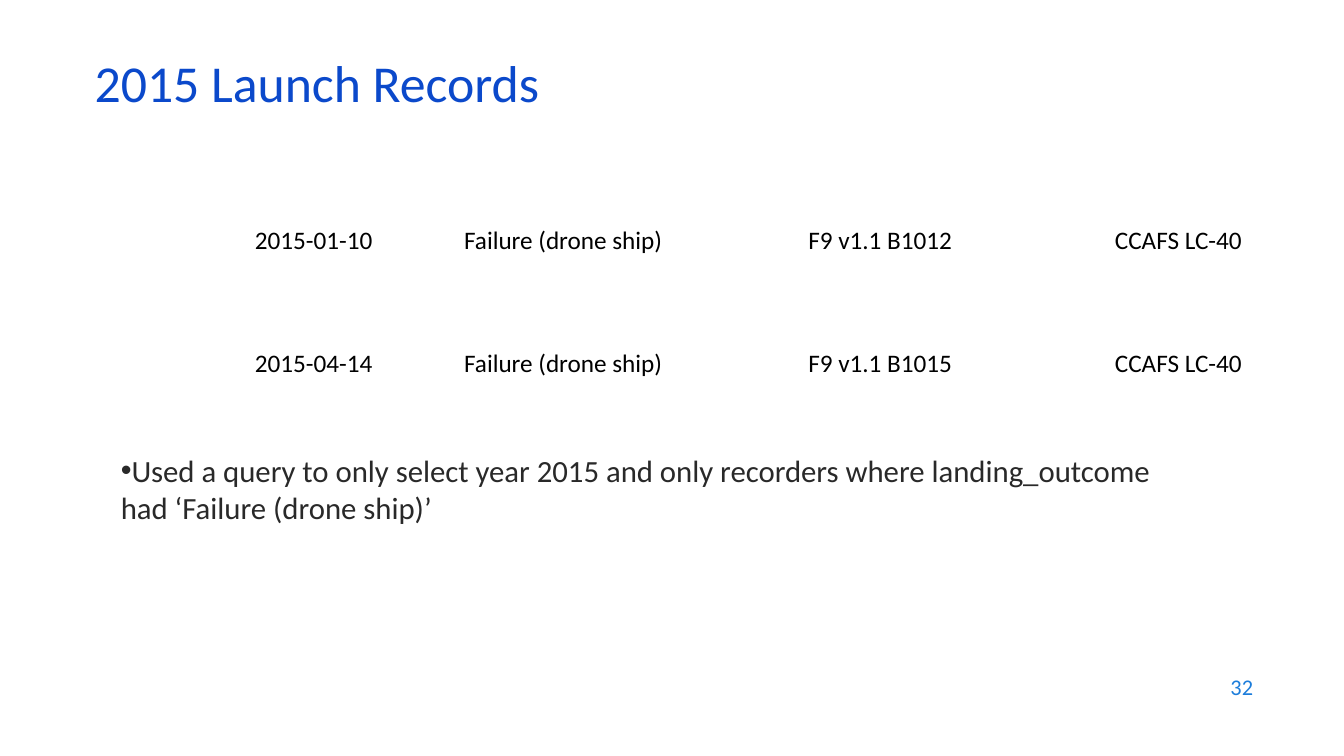
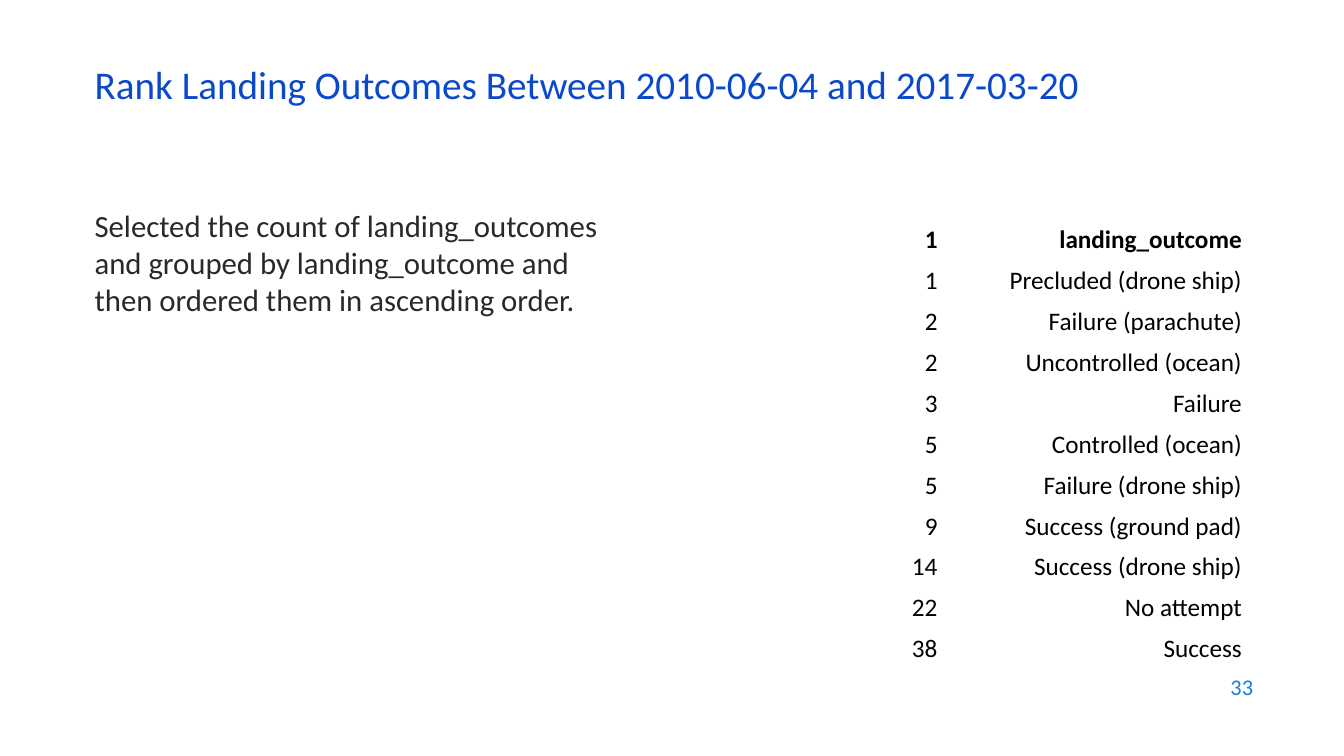
from dataclasses import dataclass

import pptx
import pptx.dml.color
import pptx.enum.text
import pptx.oxml.ns
import pptx.util
from lxml import etree

Cm = pptx.util.Cm
ALIGN = pptx.enum.text.PP_ALIGN
ANCHOR = pptx.enum.text.MSO_ANCHOR


@dataclass(frozen=True)
class Theme:
    font: str = "Calibri"
    title_color: str = "0B49CB"
    body_color: str = "292929"
    number_color: str = "1C7DDB"
    table_color: str = "000000"
    table_fill: str = "FFFFFF"
    title_size: int = 37
    long_title_size: int = 28
    body_size: int = 22
    table_size: int = 18
    number_size: int = 16


THEME = Theme()
FIRST_NUMBER = 32
ROW_HEIGHT = 1.03

LAUNCHES = [
    ("2015-01-10", "Failure (drone ship)", "F9 v1.1 B1012", "CCAFS LC-40"),
    ("",) * 4,
    ("",) * 4,
    ("2015-04-14", "Failure (drone ship)", "F9 v1.1 B1015", "CCAFS LC-40"),
]
OUTCOMES = [
    ("1", "landing_outcome"),
    ("1", "Precluded (drone ship)"),
    ("2", "Failure (parachute)"),
    ("2", "Uncontrolled (ocean)"),
    ("3", "Failure"),
    ("5", "Controlled (ocean)"),
    ("5", "Failure (drone ship)"),
    ("9", "Success (ground pad)"),
    ("14", "Success (drone ship)"),
    ("22", "No attempt"),
    ("38", "Success"),
]


# Text and placement
def write_text(frame, text, *, size, color, align=ALIGN.LEFT, bold=False, spacing=1.0):
    paragraph = frame.paragraphs[0]
    paragraph.alignment = align
    paragraph.line_spacing = spacing
    paragraph.space_before = pptx.util.Pt(0)
    run = paragraph.add_run()
    run.text = text
    run.font.name = THEME.font
    run.font.size = pptx.util.Pt(size)
    run.font.bold = bold
    run.font.color.rgb = pptx.dml.color.RGBColor.from_string(color)
    return paragraph


def place(shape, left, top, width, height):
    shape.left, shape.top = Cm(left), Cm(top)
    shape.width, shape.height = Cm(width), Cm(height)


def set_bullet(paragraph, character=None):
    properties = paragraph._p.get_or_add_pPr()
    properties.set("marL", "0")
    properties.set("indent", "0")
    tag = "a:buChar" if character else "a:buNone"
    bullet = etree.SubElement(properties, pptx.oxml.ns.qn(tag))
    if character:
        bullet.set("char", character)


# Slide elements
def add_slide(presentation, title, title_size):
    slide = presentation.slides.add_slide(presentation.slide_layouts[1])
    place(slide.shapes.title, 2.13, 1.5, 29.21, 1.52)
    frame = slide.shapes.title.text_frame
    frame.auto_size = pptx.enum.text.MSO_AUTO_SIZE.NONE
    frame.vertical_anchor = ANCHOR.MIDDLE
    write_text(frame, title, size=title_size, color=THEME.title_color, spacing=0.7)
    add_slide_number(slide, FIRST_NUMBER + len(presentation.slides) - 1)
    return slide


def add_slide_number(slide, number):
    box = slide.shapes.add_textbox(Cm(24.21), Cm(16.74), Cm(7.62), Cm(1.12))
    box.text_frame.word_wrap = True
    box.text_frame.vertical_anchor = ANCHOR.MIDDLE
    write_text(box.text_frame, str(number), size=THEME.number_size,
               color=THEME.number_color, align=ALIGN.RIGHT)


def fill_body(slide, text, position, bullet=None):
    body = slide.placeholders[1]
    place(body, *position)
    body.text_frame.auto_size = pptx.enum.text.MSO_AUTO_SIZE.NONE
    paragraph = write_text(body.text_frame, text, size=THEME.body_size,
                           color=THEME.body_color)
    set_bullet(paragraph, bullet)


def add_table(slide, rows, left, top, width, header=False):
    columns = len(rows[0])
    table = slide.shapes.add_table(len(rows), columns, Cm(left), Cm(top), Cm(width),
                                   Cm(ROW_HEIGHT * len(rows))).table
    table.first_row = header
    table.horz_banding = False
    for row_index, values in enumerate(rows):
        for column_index, value in enumerate(values):
            cell = table.cell(row_index, column_index)
            cell.fill.solid()
            cell.fill.fore_color.rgb = pptx.dml.color.RGBColor.from_string(THEME.table_fill)
            cell.vertical_anchor = ANCHOR.MIDDLE
            if value:
                write_text(cell.text_frame, value, size=THEME.table_size,
                           color=THEME.table_color, align=ALIGN.RIGHT,
                           bold=header and row_index == 0)


def main():
    presentation = pptx.Presentation()
    presentation.slide_width, presentation.slide_height = Cm(33.87), Cm(19.05)

    # Launch records
    slide = add_slide(presentation, "2015 Launch Records", THEME.title_size)
    fill_body(slide, "Used a query to only select year 2015 and only recorders where "
              "landing_outcome had ‘Failure (drone ship)’",
              (2.79, 11.25, 27.08, 5), bullet="•")
    add_table(slide, LAUNCHES, 2.34, 5.56, 29.21)

    # Ranked landing outcomes
    slide = add_slide(presentation, "Rank Landing Outcomes Between 2010-06-04 and 2017-03-20",
                      THEME.long_title_size)
    fill_body(slide, "Selected the count of landing_outcomes and grouped by landing_outcome "
              "and then ordered them in ascending order.", (2.13, 5.08, 13.54, 12.09))
    add_table(slide, OUTCOMES, 16.21, 5.54, 15.34, header=True)

    presentation.save("out.pptx")


if __name__ == "__main__":
    main()
